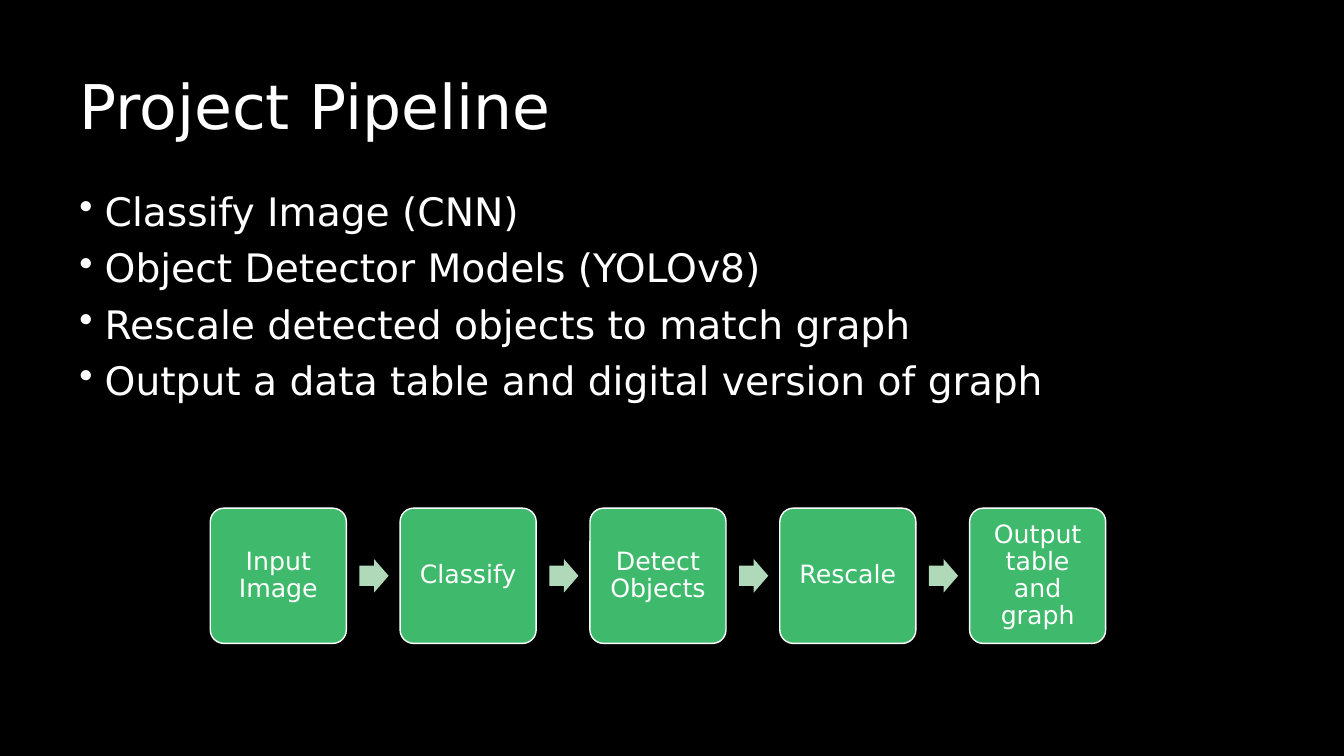
"""Build the project pipeline slide."""
import pptx
import pptx.util
import pptx.dml.color
import pptx.enum.shapes
import pptx.enum.text
import lxml.etree

Pt = pptx.util.Pt
Kind = pptx.enum.shapes.MSO_SHAPE
Align = pptx.enum.text.PP_ALIGN
Anchor = pptx.enum.text.MSO_ANCHOR

FONT = "DejaVu Sans"
BLACK, WHITE, GREEN, PALE = "000000", "FFFFFF", "3FB96C", "B0D9BA"
TITLE = "Project Pipeline"
POINTS = [
    "Classify Image (CNN)",
    "Object Detector Models (YOLOv8)",
    "Rescale detected objects to match graph",
    "Output a data table and digital version of graph",
]
STEPS = ["Input Image", "Classify", "Detect Objects", "Rescale", "Output table and graph"]

LEFT, TOP, WIDE, HIGH, PITCH = 150.2, 363, 97.2, 96.6, 135.6
TIP_X, TIP_W, TIP_H = 106.6, 20.8, 24


def paint(form, code):
    form.solid()
    form.fore_color.rgb = pptx.dml.color.RGBColor.from_string(code)


def write(para, text, size):
    para.line_spacing = 0.9
    run = para.add_run()
    run.text = text
    run.font.name = FONT
    run.font.size = Pt(size)
    paint(run.font.fill, WHITE)


def bullet(para):
    props = para._p.get_or_add_pPr()
    props.set("marL", str(Pt(18)))
    props.set("indent", str(-Pt(18)))
    tag = pptx.oxml.ns.qn("a:buChar")
    lxml.etree.SubElement(props, tag).set("char", "•")


def add_text(slide, box, lines, size, marked=False):
    frame = slide.shapes.add_textbox(*map(Pt, box)).text_frame
    frame.word_wrap = True
    for num, line in enumerate(lines):
        para = frame.add_paragraph() if num else frame.paragraphs[0]
        write(para, line, size)
        if marked:
            para.space_before = Pt(10)
            bullet(para)


def add_form(slide, kind, box, code, *ratios):
    form = slide.shapes.add_shape(kind, *map(Pt, box))
    form.shadow.inherit = False
    paint(form.fill, code)
    form.line.fill.background()
    for num, ratio in enumerate(ratios):
        form.adjustments[num] = ratio
    return form


def add_step(slide, left, text):
    card = add_form(slide, Kind.ROUNDED_RECTANGLE, (left, TOP, WIDE, HIGH), GREEN, 0.1)
    paint(card.line.fill, WHITE)
    card.line.width = Pt(1)
    frame = card.text_frame
    frame.word_wrap = True
    frame.vertical_anchor = Anchor.MIDDLE
    frame.margin_left = frame.margin_right = Pt(5)
    frame.margin_top = frame.margin_bottom = Pt(5)
    para = frame.paragraphs[0]
    para.alignment = Align.CENTER
    write(para, text, 18)


def main():
    deck = pptx.Presentation()
    deck.slide_width, deck.slide_height = Pt(960), Pt(540)
    slide = deck.slides.add_slide(deck.slide_layouts[6])
    paint(slide.background.fill, BLACK)
    add_text(slide, (49.7, 51, 720, 99.4), [TITLE], 44)
    add_text(slide, (49.7, 134, 840, 240), POINTS, 28, marked=True)
    tip_y = TOP + (HIGH - TIP_H) / 2
    for num, step in enumerate(STEPS):
        left = LEFT + num * PITCH
        if num:
            box = (left - PITCH + TIP_X, tip_y, TIP_W, TIP_H)
            add_form(slide, Kind.RIGHT_ARROW, box, PALE, 0.6, 0.5)
        add_step(slide, left, step)
    deck.save("out.pptx")


if __name__ == "__main__":
    main()
